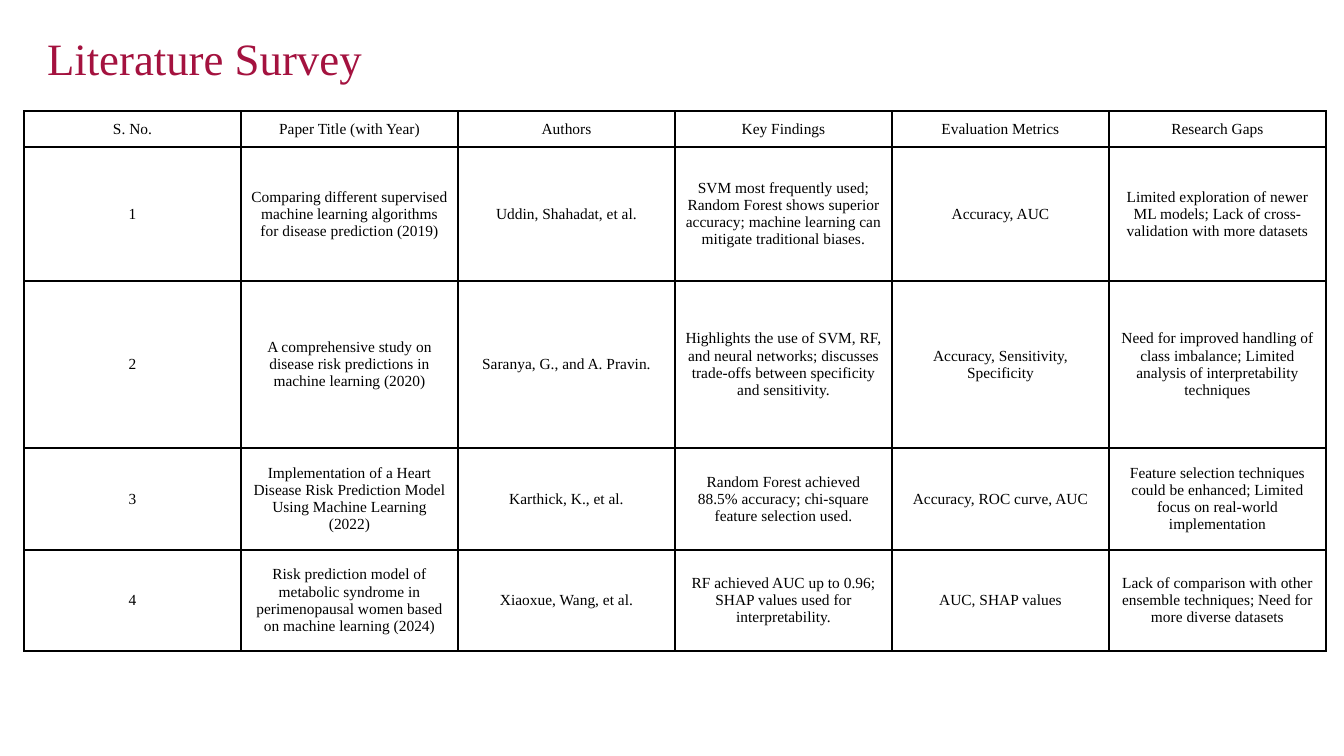
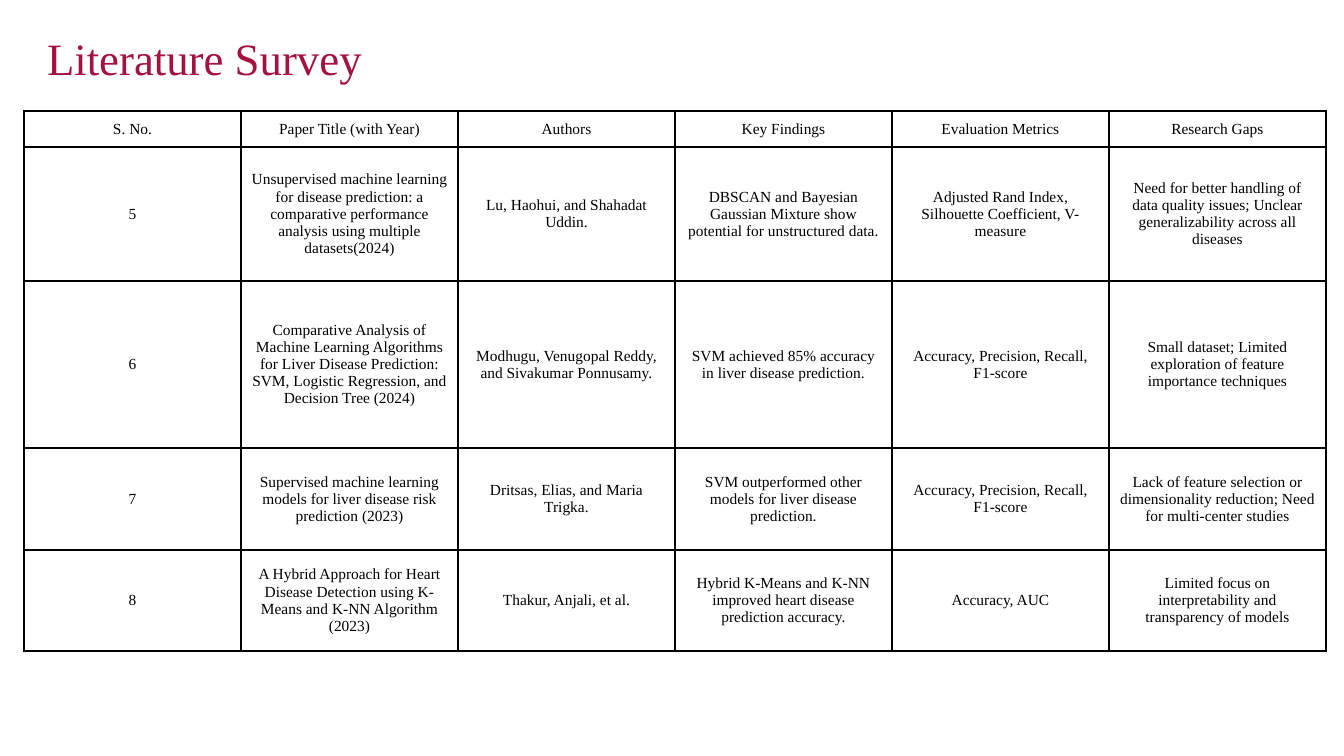
from lxml import etree
from pptx import Presentation
from pptx.dml.color import RGBColor
from pptx.enum.text import MSO_ANCHOR, MSO_AUTO_SIZE, PP_ALIGN
from pptx.oxml.ns import qn
from pptx.util import Pt

PX = 914400 / 100.8
LEFT, CENTER = PP_ALIGN.LEFT, PP_ALIGN.CENTER
MIDDLE = MSO_ANCHOR.MIDDLE
NO_AUTOFIT = MSO_AUTO_SIZE.NONE
COLORS = {"title": "A4123F", "text": "000000", "border": "000000", "cell": "FFFFFF"}
FONT = "Times New Roman"
COLUMN_WIDTH = 217
ROW_HEIGHTS = [36, 134, 167, 102, 101]
BORDER_WIDTH = Pt(1)

HEADINGS = ["S. No.", "Paper Title (with Year)", "Authors", "Key Findings",
            "Evaluation Metrics", "Research Gaps"]
SURVEY = [
    [
        ["Comparing different supervised machine learning algorithms for disease prediction (2019)",
         "Uddin, Shahadat, et al.",
         "SVM most frequently used; Random Forest shows superior accuracy; "
         "machine learning can mitigate traditional biases.",
         "Accuracy, AUC",
         "Limited exploration of newer ML models; Lack of cross-validation with more datasets"],
        ["A comprehensive study on disease risk predictions in machine learning (2020)",
         "Saranya, G., and A. Pravin.",
         "Highlights the use of SVM, RF, and neural networks; "
         "discusses trade-offs between specificity and sensitivity.",
         "Accuracy, Sensitivity, Specificity",
         "Need for improved handling of class imbalance; "
         "Limited analysis of interpretability techniques"],
        ["Implementation of a Heart Disease Risk Prediction Model Using Machine Learning (2022)",
         "Karthick, K., et al.",
         "Random Forest achieved 88.5% accuracy; chi-square feature selection used.",
         "Accuracy, ROC curve, AUC",
         "Feature selection techniques could be enhanced; "
         "Limited focus on real-world implementation"],
        ["Risk prediction model of metabolic syndrome in perimenopausal women "
         "based on machine learning (2024)",
         "Xiaoxue, Wang, et al.",
         "RF achieved AUC up to 0.96; SHAP values used for interpretability.",
         "AUC, SHAP values",
         "Lack of comparison with other ensemble techniques; Need for more diverse datasets"],
    ],
    [
        ["Unsupervised machine learning for disease prediction: "
         "a comparative performance analysis using multiple datasets(2024)",
         "Lu, Haohui, and Shahadat Uddin.",
         "DBSCAN and Bayesian Gaussian Mixture show potential for unstructured data.",
         "Adjusted Rand Index, Silhouette Coefficient, V-measure",
         "Need for better handling of data quality issues; "
         "Unclear generalizability across all diseases"],
        ["Comparative Analysis of Machine Learning Algorithms for Liver Disease Prediction: "
         "SVM, Logistic Regression, and Decision Tree (2024)",
         "Modhugu, Venugopal Reddy, and Sivakumar Ponnusamy.",
         "SVM achieved 85% accuracy in liver disease prediction.",
         "Accuracy, Precision, Recall, F1-score",
         "Small dataset; Limited exploration of feature importance techniques"],
        ["Supervised machine learning models for liver disease risk prediction (2023)",
         "Dritsas, Elias, and Maria Trigka.",
         "SVM outperformed other models for liver disease prediction.",
         "Accuracy, Precision, Recall, F1-score",
         "Lack of feature selection or dimensionality reduction; Need for multi-center studies"],
        ["A Hybrid Approach for Heart Disease Detection using K-Means and K-NN Algorithm (2023)",
         "Thakur, Anjali, et al.",
         "Hybrid K-Means and K-NN improved heart disease prediction accuracy.",
         "Accuracy, AUC",
         "Limited focus on interpretability and transparency of models"],
    ],
]


def px(length):
    return round(length * PX)


def write(frame, text, *, size, color, align, spacing=1.0):
    paragraph = frame.paragraphs[0]
    paragraph.alignment = align
    paragraph.line_spacing = spacing
    run = paragraph.add_run()
    run.text = text
    run.font.size = Pt(size)
    run.font.name = FONT
    run.font.color.rgb = RGBColor.from_string(COLORS[color])


prs = Presentation()
prs.slide_width, prs.slide_height = px(1344), px(756)
title_only = prs.slide_layouts[5]

for page, papers in enumerate(SURVEY):
    slide = prs.slides.add_slide(title_only)
    title = slide.shapes.title
    title.left, title.top, title.width, title.height = px(37), px(38), px(1261), px(46)
    title.text_frame.auto_size = NO_AUTOFIT
    title.text_frame.vertical_anchor = MIDDLE
    write(title.text_frame, "Literature Survey", size=32, color="title", align=LEFT, spacing=0.9)

    first_number = page * len(papers) + 1
    rows = [HEADINGS] + [[str(number), *paper] for number, paper in enumerate(papers, first_number)]
    survey = slide.shapes.add_table(
        len(rows), len(HEADINGS), px(24), px(111),
        px(COLUMN_WIDTH * len(HEADINGS)), px(sum(ROW_HEIGHTS))).table
    survey.first_row = False
    survey.horz_banding = False
    for column in survey.columns:
        column.width = px(COLUMN_WIDTH)

    for row, height, texts in zip(survey.rows, ROW_HEIGHTS, rows):
        row.height = px(height)
        for cell, text in zip(row.cells, texts):
            cell.vertical_anchor = MIDDLE
            write(cell.text_frame, text, size=11, color="text", align=CENTER)
            properties = cell._tc.get_or_add_tcPr()
            for side in ("a:lnL", "a:lnR", "a:lnT", "a:lnB"):
                border = etree.SubElement(properties, qn(side), w=str(BORDER_WIDTH))
                border_fill = etree.SubElement(border, qn("a:solidFill"))
                etree.SubElement(border_fill, qn("a:srgbClr"), val=COLORS["border"])
            cell.fill.solid()
            cell.fill.fore_color.rgb = RGBColor.from_string(COLORS["cell"])

prs.save("out.pptx")
